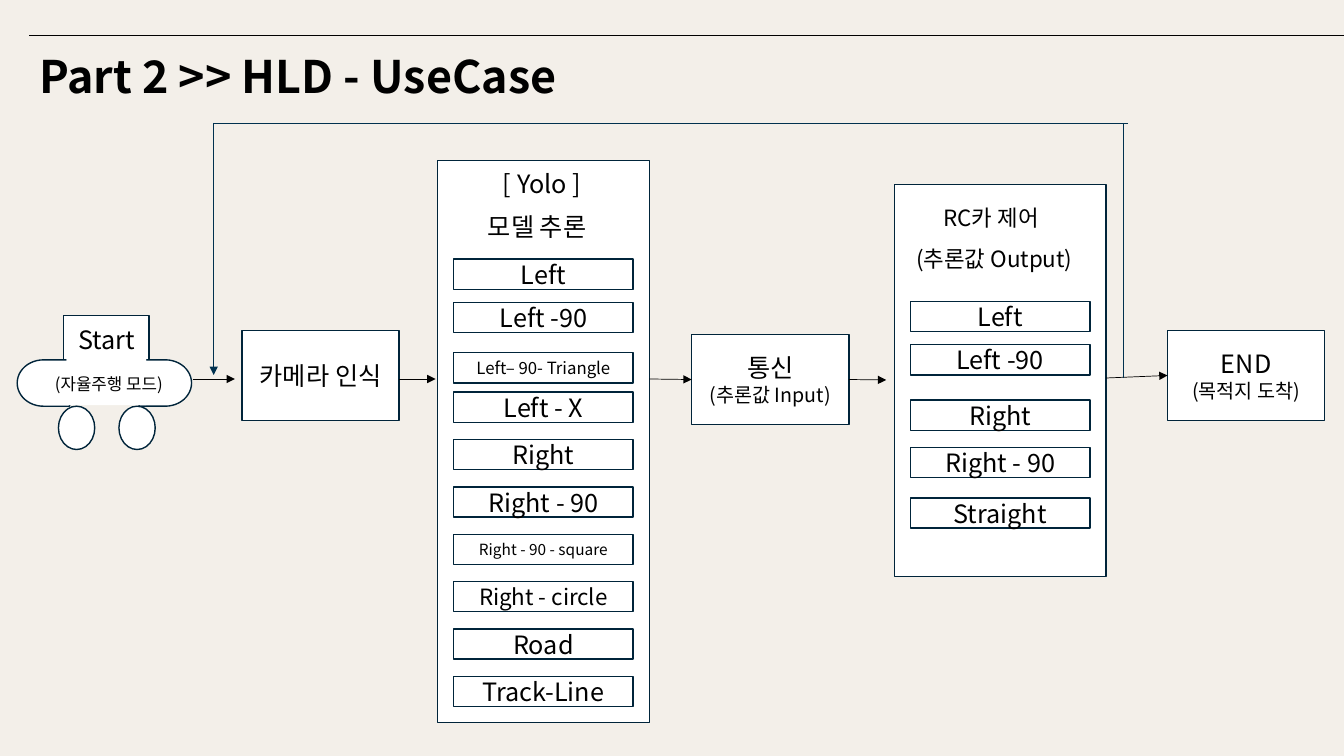
"""Build the use-case flow slide of a self-driving RC car."""
from dataclasses import dataclass
from typing import Optional

from lxml.etree import SubElement
from pptx import Presentation
from pptx.dml.color import RGBColor
from pptx.enum.shapes import MSO_CONNECTOR as Link, MSO_SHAPE as Form
from pptx.enum.text import MSO_ANCHOR as Anchor, PP_ALIGN as Align
from pptx.oxml.ns import qn
from pptx.util import Inches, Pt

FONT = "Noto Sans CJK KR"
CREAM = RGBColor(0xF3, 0xEF, 0xE9)
WHITE = RGBColor(0xFF, 0xFF, 0xFF)
BLACK = RGBColor(0x00, 0x00, 0x00)
NAVY = RGBColor(0x00, 0x24, 0x3A)
BLUE = RGBColor(0x00, 0x31, 0x4F)
LEFT_SIDE, RIGHT_SIDE = 1, 3
ROW_WIDTH, ROW_HEIGHT, ROW_INSET, ROW_STEP = 1.78, 0.3, 0.16, 0.47


@dataclass(frozen=True)
class Words:
    text: str
    size: int = 18
    bold: bool = False


@dataclass(frozen=True)
class Block:
    left: float
    top: float
    width: float
    height: float
    lines: tuple[Words, ...] = ()
    form: Form = Form.RECTANGLE
    outlined: bool = True
    rotation: int = 0


@dataclass(frozen=True)
class Label:
    left: float
    top: float
    width: float
    height: float
    words: Words


@dataclass(frozen=True)
class Panel:
    frame: Block
    tops: tuple[float, ...]
    rows: tuple[Words, ...]


@dataclass(frozen=True)
class Wire:
    start: tuple[float, float]
    end: tuple[float, float]
    color: RGBColor = BLACK
    arrow: bool = True
    source: Optional[str] = None
    target: Optional[str] = None


CAR = (
    Block(1.18, 4.03, 0.36, 0.43, form=Form.OVAL),
    Block(0.63, 3.13, 0.85, 0.45),
    Block(1.38, 3.57, 0.52, 0.46, form=Form.FLOWCHART_DELAY),
    Block(0.17, 3.57, 0.52, 0.46, form=Form.FLOWCHART_DELAY, rotation=180),
    Block(0.66, 3.35, 0.79, 0.67, outlined=False),
    Block(0.66, 3.15, 0.79, 0.44, (Words("Start"),), outlined=False),
    Block(0.38, 3.67, 1.4, 0.27, (Words("(자율주행 모드)", 12),), outlined=False),
    Block(0.58, 4.03, 0.36, 0.43, form=Form.OVAL),
)
STEPS = {
    "camera": Block(2.4, 3.28, 1.56, 0.89, (Words("카메라 인식"),)),
    "comms": Block(6.86, 3.32, 1.56, 0.89, (Words("통신"), Words("(추론값 Input)", 14))),
    "end": Block(11.58, 3.28, 1.56, 0.89, (Words("END"), Words("(목적지 도착)", 14))),
}
PANELS = (
    Panel(
        Block(4.34, 1.59, 2.1, 5.58),
        (2.57, 3.0, 3.5, *(3.89 + ROW_STEP * index for index in range(7))),
        (Words("Left"), Words("Left -90"), Words("Left– 90- Triangle", 12),
         Words("Left - X"), Words("Right"), Words("Right - 90"),
         Words("Right - 90 - square", 11), Words("Right - circle", 16),
         Words("Road"), Words("Track-Line")),
    ),
    Panel(
        Block(8.87, 1.83, 2.1, 3.89),
        (2.99, 3.42, 3.97, 4.44, 4.94),
        (Words("Left"), Words("Left -90"), Words("Right"), Words("Right - 90"),
         Words("Straight")),
    ),
)
LABELS = (
    Label(0.29, 0.43, 8.5, 0.64, Words("Part 2 >> HLD - UseCase", 32, True)),
    Label(4.89, 1.62, 1.3, 0.4, Words("[ Yolo ]")),
    Label(4.74, 2.05, 1.3, 0.4, Words("모델 추론")),
    Label(9.26, 1.98, 1.3, 0.37, Words("RC카 제어", 16)),
    Label(8.99, 2.38, 1.89, 0.37, Words("(추론값 Output)", 16)),
)
WIRES = (
    Wire((1.91, 3.76), (2.33, 3.76)),
    Wire((3.96, 3.76), (4.32, 3.76)),
    Wire((6.44, 3.76), (6.86, 3.76), target="comms"),
    Wire((8.42, 3.77), (8.79, 3.77), source="comms"),
    Wire((10.97, 3.75), (11.58, 3.75), target="end"),
    Wire((11.14, 3.75), (11.14, 1.22), BLUE, False),
    Wire((11.19, 1.22), (2.12, 1.22), BLUE, False),
    Wire((2.12, 1.22), (2.12, 3.72), BLUE),
    Wire((0.29, 0.35), (13.33, 0.35), arrow=False),
)


def add_words(para, words: Words) -> None:
    """Add one formatted run to a paragraph."""
    span = para.add_run()
    span.text = words.text
    span.font.name = FONT
    span.font.size = Pt(words.size)
    span.font.bold = words.bold
    span.font.color.rgb = BLACK
    SubElement(span.font._element, qn("a:ea"), typeface=FONT)


def draw_block(page, block: Block):
    """Draw a white shape with centred lines of text."""
    box = page.shapes.add_shape(
        block.form, Inches(block.left), Inches(block.top),
        Inches(block.width), Inches(block.height))
    box.shadow.inherit = False
    box.rotation = block.rotation
    box.fill.solid()
    box.fill.fore_color.rgb = WHITE
    if block.outlined:
        box.line.color.rgb = NAVY
        box.line.width = Pt(1)
    else:
        box.line.fill.background()
    frame = box.text_frame
    frame.word_wrap = True
    frame.vertical_anchor = Anchor.MIDDLE
    for index, words in enumerate(block.lines):
        para = frame.add_paragraph() if index else frame.paragraphs[0]
        para.alignment = Align.CENTER
        add_words(para, words)
    return box


def draw_panel(page, panel: Panel) -> None:
    """Draw a tall frame and its rows."""
    draw_block(page, panel.frame)
    for top, words in zip(panel.tops, panel.rows):
        draw_block(page, Block(panel.frame.left + ROW_INSET, top,
                               ROW_WIDTH, ROW_HEIGHT, (words,)))


def draw_label(page, label: Label) -> None:
    """Draw a left-aligned text box."""
    box = page.shapes.add_textbox(Inches(label.left), Inches(label.top),
                                  Inches(label.width), Inches(label.height))
    box.text_frame.word_wrap = True
    add_words(box.text_frame.paragraphs[0], label.words)


def draw_wire(page, wire: Wire, boxes: dict) -> None:
    """Draw a thin straight line, joined to its steps where named."""
    line = page.shapes.add_connector(
        Link.STRAIGHT, *(Inches(value) for value in wire.start + wire.end))
    line.line.color.rgb = wire.color
    line.line.width = Pt(0.5)
    if wire.arrow:
        SubElement(line.line._get_or_add_ln(), qn("a:tailEnd"), type="triangle")
    SubElement(line._element.spPr, qn("a:effectLst"))
    if wire.source:
        line.begin_connect(boxes[wire.source], RIGHT_SIDE)
    if wire.target:
        line.end_connect(boxes[wire.target], LEFT_SIDE)


def main() -> None:
    """Assemble and save the deck."""
    deck = Presentation()
    deck.slide_width, deck.slide_height = Inches(13.33), Inches(7.5)
    page = deck.slides.add_slide(deck.slide_layouts[6])
    page.background.fill.solid()
    page.background.fill.fore_color.rgb = CREAM
    for part in CAR:
        draw_block(page, part)
    boxes = {name: draw_block(page, step) for name, step in STEPS.items()}
    for panel in PANELS:
        draw_panel(page, panel)
    for label in LABELS:
        draw_label(page, label)
    for wire in WIRES:
        draw_wire(page, wire, boxes)
    deck.save("out.pptx")


if __name__ == "__main__":
    main()
